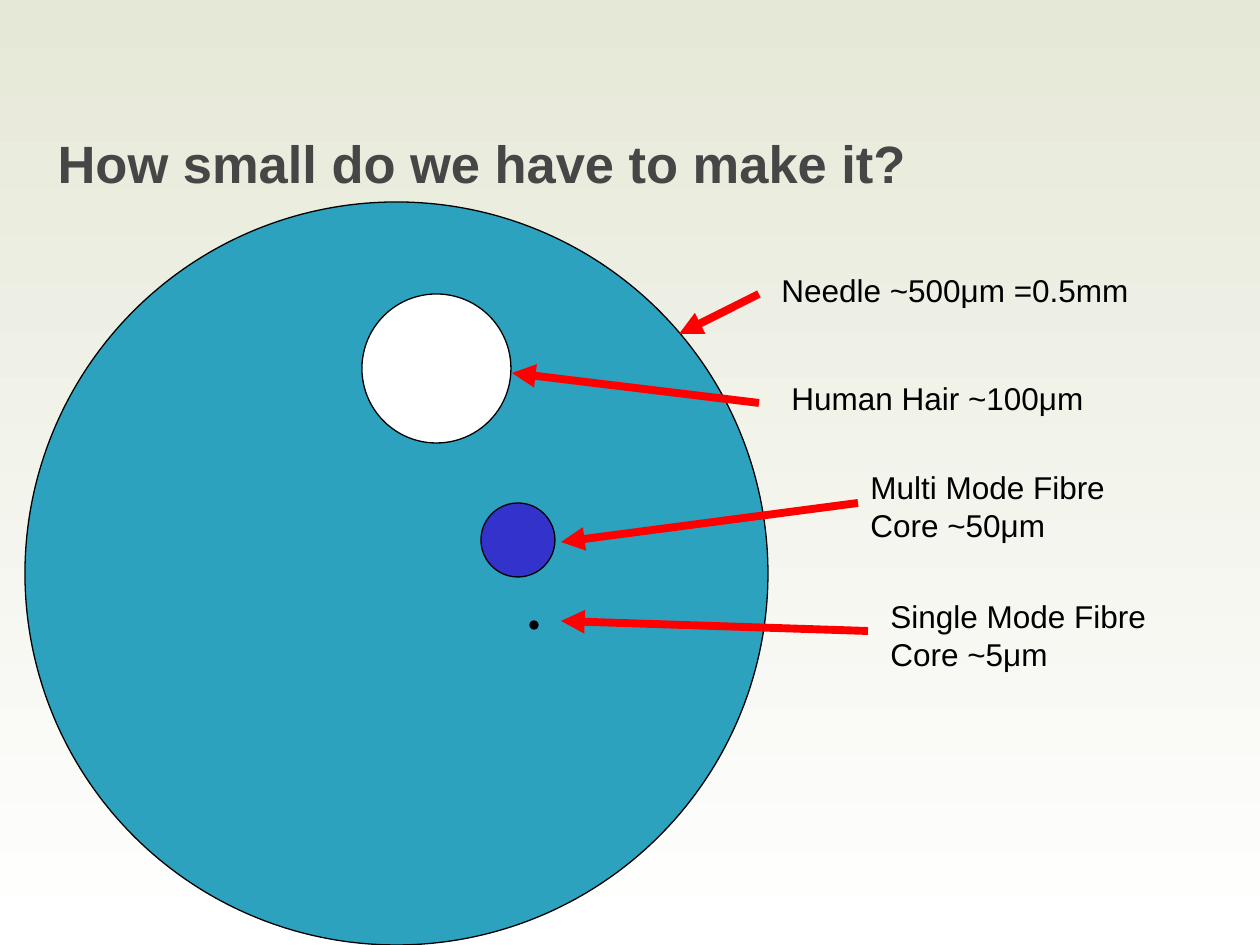
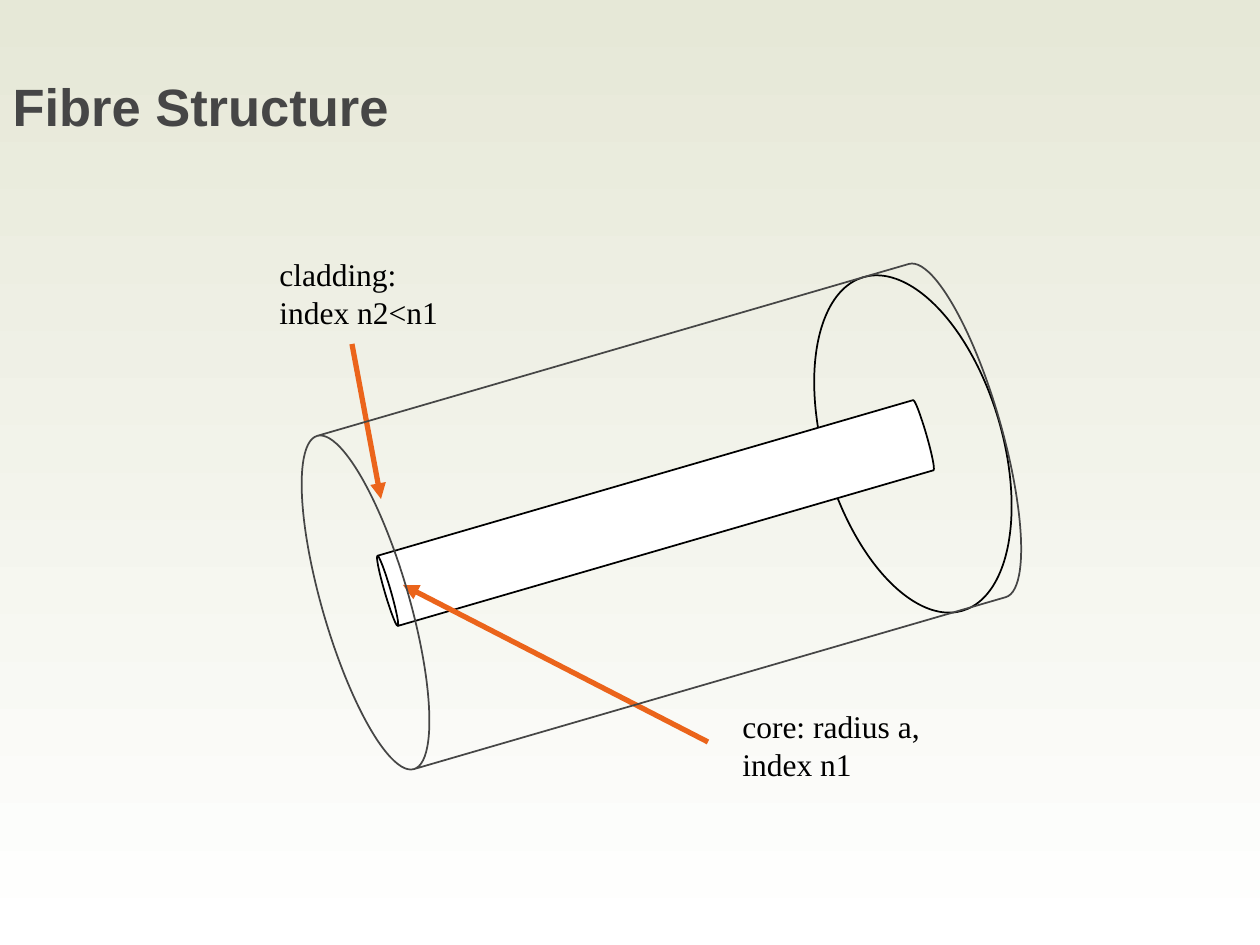
from lxml import etree
from pptx import Presentation
from pptx.dml.color import RGBColor
from pptx.enum.shapes import MSO_CONNECTOR, MSO_SHAPE
from pptx.enum.text import MSO_ANCHOR, MSO_AUTO_SIZE, PP_ALIGN
from pptx.oxml.ns import qn
from pptx.util import Emu, Pt

OVAL, CAN = MSO_SHAPE.OVAL, MSO_SHAPE.CAN
STRAIGHT = MSO_CONNECTOR.STRAIGHT
TOP, MIDDLE = MSO_ANCHOR.TOP, MSO_ANCHOR.MIDDLE
LEFT = PP_ALIGN.LEFT
NO_FIT, FIT_SHAPE = MSO_AUTO_SIZE.NONE, MSO_AUTO_SIZE.SHAPE_TO_FIT_TEXT

PX_PER_INCH = 126
TITLE_ONLY = 5
SANS, SERIF = "Arial", "Times New Roman"
COLORS = {
    "sky": "E6E8D7",
    "white": "FFFFFF",
    "black": "000000",
    "grey": "464646",
    "needle": "2DA2BF",
    "fibre": "3333CC",
    "red": "FF0000",
    "orange": "EB641B",
}


def px(n):
    return Emu(round(n * 914400 / PX_PER_INCH))


def color(name):
    return RGBColor.from_string(COLORS[name])


def set_background(master):
    fill = master.background.fill
    fill.gradient()
    fill.gradient_angle = 270
    for stop, position, name in zip(fill.gradient_stops, (0, 1), ("sky", "white")):
        stop.position = position
        stop.color.rgb = color(name)


def style_font(font, name, size, color_name, bold=False):
    font.name = name
    font.size = Pt(size)
    font.bold = bold
    font.color.rgb = color(color_name)


def add_titled_slide(prs, text, box, anchor):
    slide = prs.slides.add_slide(prs.slide_layouts[TITLE_ONLY])
    title = slide.shapes.title
    title.left, title.top, title.width, title.height = map(px, box)
    tf = title.text_frame
    tf.text = text
    tf.auto_size = NO_FIT
    tf.vertical_anchor = anchor
    p = tf.paragraphs[0]
    p.alignment = LEFT
    style_font(p.font, SANS, 30, "grey", bold=True)
    return slide


def add_outline(slide, kind, box, fill=None, line="black", weight=1, rotation=0):
    sp = slide.shapes.add_shape(kind, *map(px, box))
    sp.shadow.inherit = False
    sp.rotation = rotation
    if fill:
        sp.fill.solid()
        sp.fill.fore_color.rgb = color(fill)
    else:
        sp.fill.background()
    sp.line.color.rgb = color(line)
    sp.line.width = Pt(weight)
    return sp


def add_circle(slide, left, top, diameter, fill):
    add_outline(slide, OVAL, (left, top, diameter, diameter), fill, weight=0.75)


def add_can(slide, box, depth, **style):
    sp = add_outline(slide, CAN, box, rotation=253.8, **style)
    sp.adjustments[0] = depth


def add_arrow(slide, points, color_name, weight):
    line = slide.shapes.add_connector(STRAIGHT, *map(px, points))
    line.line.color.rgb = color(color_name)
    line.line.width = Pt(weight)
    tail = etree.SubElement(line.line._get_or_add_ln(), qn("a:tailEnd"))
    tail.set("type", "triangle")
    etree.SubElement(line._element.spPr, qn("a:effectLst"))


def add_label(slide, text, box, font_name, wrap=False):
    tf = slide.shapes.add_textbox(*map(px, box)).text_frame
    tf.text = text
    tf.word_wrap = wrap
    tf.auto_size = FIT_SHAPE
    for p in tf.paragraphs:
        style_font(p.font, font_name, 18, "black")


def build_sizes(prs):
    slide = add_titled_slide(
        prs, "How small do we have to make it?", (45, 125, 1169, 179), TOP)
    for circle in (
        (25, 202, 743, "needle"),
        (362, 294, 149, "white"),
        (481, 503, 74, "fibre"),
        (530, 621, 8, "black"),
    ):
        add_circle(slide, *circle)
    for points in (
        (759, 294, 679, 334),
        (759, 403, 512, 373),
        (858, 503, 561, 542),
        (868, 631, 561, 621),
    ):
        add_arrow(slide, points, "red", 4.5)
    for text, box, wrap in (
        ("Needle ~500μm =0.5mm", (769, 265, 466, 50), True),
        ("Human Hair ~100μm", (779, 373, 325, 50), True),
        ("Multi Mode Fibre Core ~50μm", (858, 462, 297, 88), True),
        ("Single Mode Fibre\nCore ~5μm", (878, 591, 290, 88), False),
    ):
        add_label(slide, text, box, SANS, wrap)


def build_structure(prs):
    slide = add_titled_slide(prs, "Fibre Structure", (0, 66, 1087, 79), MIDDLE)
    add_outline(slide, OVAL, (824, 270, 178, 348), rotation=343.4)
    add_label(slide, "core: radius a,\nindex n1", (730, 701, 203, 88), SERIF)
    add_label(slide, "cladding:\nindex n2<n1", (267, 249, 184, 88), SERIF)
    add_can(slide, (619, 231, 73, 564), 0.084, fill="white")
    add_arrow(slide, (708, 742, 403, 585), "orange", 3)
    add_arrow(slide, (352, 344, 381, 499), "orange", 3)
    add_can(slide, (488, 165, 347, 703), 0.25, line="grey")


def main():
    prs = Presentation()
    prs.slide_width, prs.slide_height = px(1260), px(945)
    set_background(prs.slide_master)
    build_sizes(prs)
    build_structure(prs)
    prs.save("out.pptx")


if __name__ == "__main__":
    main()
